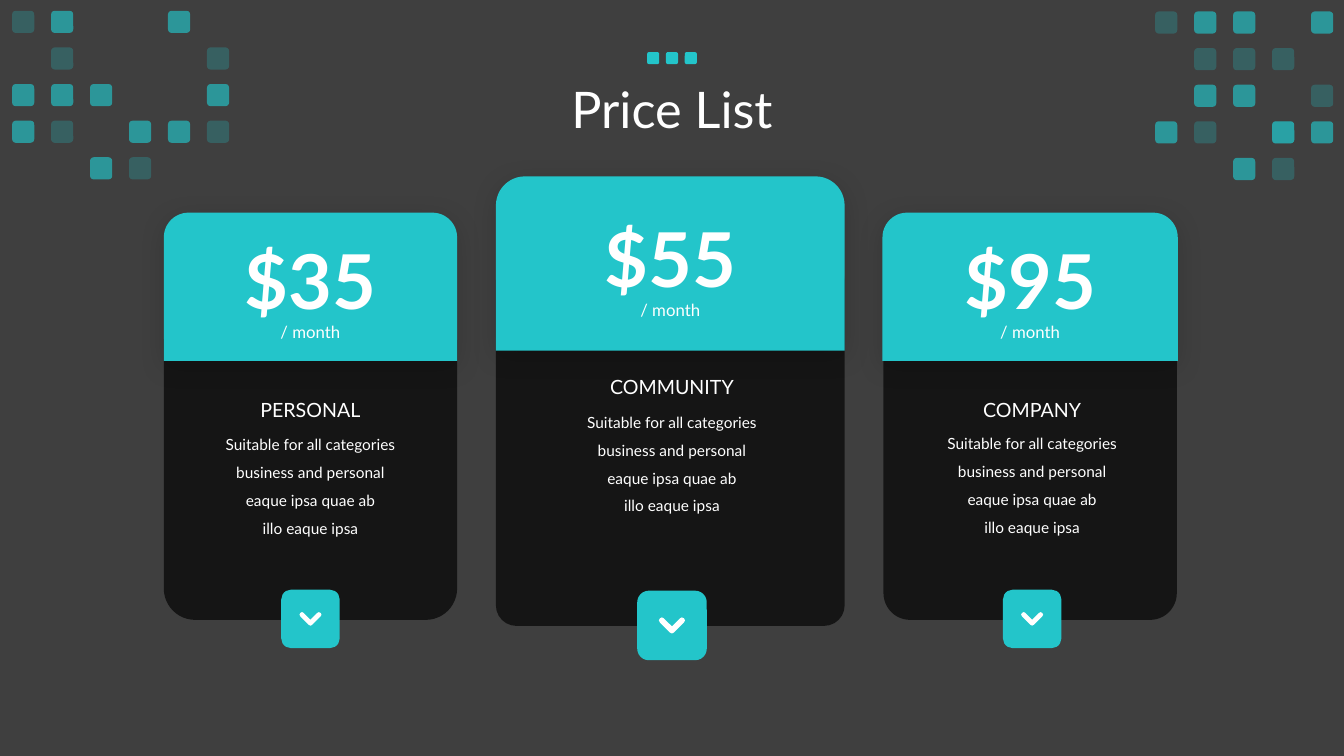
from dataclasses import dataclass

from lxml import etree
from pptx import Presentation
from pptx.dml.color import RGBColor
from pptx.enum.shapes import MSO_SHAPE
from pptx.enum.text import MSO_ANCHOR, MSO_AUTO_SIZE, PP_ALIGN
from pptx.oxml.ns import qn
from pptx.shapes.autoshape import Shape
from pptx.slide import Slide
from pptx.util import Inches, Pt

ROUND = MSO_SHAPE.ROUNDED_RECTANGLE
TOP_ROUND = MSO_SHAPE.ROUND_2_SAME_RECTANGLE
CENTER = PP_ALIGN.CENTER
MIDDLE = MSO_ANCHOR.MIDDLE
TOP = MSO_ANCHOR.TOP
GROW = MSO_AUTO_SIZE.SHAPE_TO_FIT_TEXT
FIXED = MSO_AUTO_SIZE.NONE

COLS, ROWS = 40, 22.5
CELL = Inches(1 / 3)
HEX = {"back": "3F3F3F", "teal": "23C5CA", "black": "000000", "white": "FFFFFF"}

TEXT = {
    "title": {"font": {"size": Pt(36)}, "para": {"line_spacing": 0.9},
              "frame": {"vertical_anchor": MIDDLE, "auto_size": FIXED}},
    "price": {"font": {"size": Pt(54), "bold": True}, "para": {}, "frame": {}},
    "term": {"font": {"size": Pt(12)}, "para": {"line_spacing": 1.5}, "frame": {}},
    "name": {"font": {"size": Pt(14)}, "para": {}, "frame": {}},
    "about": {"font": {"size": Pt(11)}, "para": {"line_spacing": 1.5}, "frame": {}},
}
BASE = {
    "font": {"name": "Lato"},
    "para": {"alignment": CENTER},
    "frame": {"word_wrap": True, "vertical_anchor": TOP, "auto_size": GROW},
}
ABOUT = [
    "Suitable for all categories business and personal",
    "eaque ipsa quae ab",
    "illo eaque ipsa",
]
ARROW = [(0, 8), (-2, 7), (-12, -3), (-13, -5), (-12, -7), (-10, -8), (-8, -7),
         (0, 1), (8, -7), (10, -8), (12, -7), (13, -5), (12, -3), (2, 7)]
SHADES = {".": (), "l": (25,), "H": (65,), "B": (65, 25)}


@dataclass
class Box:
    left: float
    top: float
    width: float
    height: float

    def emu(self) -> list[int]:
        return [round(n * CELL) for n in (self.left, self.top, self.width, self.height)]


@dataclass
class Card:
    price: str
    name: str
    mid: float
    low_mid: float
    body: tuple[float, float, float]
    curve: float
    head: tuple[float, float, float]
    price_top: float
    name_top: float
    about_top: float
    key_top: float
    key: float


@dataclass
class Tiles:
    left: float
    top: float
    rows: list[str]


CARDS = [
    Card("$35", "PERSONAL", 9.24, 9.24, (9.24, 8.73, 9.21), 0.107,
         (6.33, 8.73, 4.41), 6.81, 11.7, 12.54, 17.55, 1.74),
    Card("$55", "COMMUNITY", 19.95, 20, (7.74, 10.38, 10.89), 0.059,
         (5.25, 10.38, 5.19), 6.15, 11.01, 11.88, 17.58, 2.07),
    Card("$95", "COMPANY", 30.66, 30.72, (9.24, 8.73, 9.21), 0.091,
         (6.33, 8.79, 4.41), 6.81, 11.7, 12.51, 17.55, 1.74),
]
TILES = [
    Tiles(0.36, 0.32, ["lH..H.", ".l...l", "HHH..H", "Hl.HHl", "..Hl.."]),
    Tiles(34.38, 0.34, ["lHH.H", ".lll.", ".HH.l", "Hl.BH", "..Hl."]),
]


def center(mid: float, top: float, width: float, height: float) -> Box:
    return Box(mid - width / 2, top, width, height)


def paint(shape: Shape, color: str, alpha: int = 100) -> None:
    shape.shadow.inherit = False
    shape.fill.solid()
    shape.fill.fore_color.rgb = RGBColor.from_string(HEX[color])
    shape.line.fill.background()
    if alpha < 100:
        tint = next(shape._element.spPr.iter(qn("a:srgbClr")))
        etree.SubElement(tint, qn("a:alpha"), val=str(alpha * 1000))


def shade(shape: Shape) -> None:
    effect = shape._element.spPr.find(qn("a:effectLst"))
    outer = etree.SubElement(effect, qn("a:outerShdw"), blurRad=str(Pt(19)),
                             dist=str(Pt(4)), dir="5400000", algn="t", rotWithShape="0")
    tint = etree.SubElement(outer, qn("a:srgbClr"), val=HEX["black"])
    etree.SubElement(tint, qn("a:alpha"), val="15000")


def block(shapes, kind: int, box: Box, color: str, alpha: int = 100) -> Shape:
    shape = shapes.add_shape(kind, *box.emu())
    paint(shape, color, alpha)
    return shape


def apply(target, part: str, style: str) -> None:
    for key, value in {**BASE[part], **TEXT[style][part]}.items():
        setattr(target, key, value)


def write(slide: Slide, box: Box, style: str, lines: list[str]) -> None:
    frame = slide.shapes.add_textbox(*box.emu()).text_frame
    apply(frame, "frame", style)
    frame.text = "\n".join(lines)
    for para in frame.paragraphs:
        apply(para, "para", style)
        for run in para.runs:
            apply(run.font, "font", style)
            run.font.color.rgb = RGBColor.from_string(HEX["white"])


def draw_key(slide: Slide, card: Card) -> None:
    block(slide.shapes, ROUND, center(card.low_mid, card.key_top, card.key, card.key), "teal")
    pen = slide.shapes.build_freeform(*ARROW[0], scale=card.key * CELL / 69)
    pen.add_line_segments(ARROW[1:], close=True)
    mid_y = card.key_top + card.key / 2
    paint(pen.convert_to_shape(round(card.low_mid * CELL), round(mid_y * CELL)), "white")


def draw_card(slide: Slide, card: Card) -> None:
    top, width, height = card.body
    body = block(slide.shapes, ROUND, center(card.mid, top, width, height), "black", 65)
    body.adjustments[0] = card.curve
    top, width, height = card.head
    shade(block(slide.shapes, TOP_ROUND, center(card.mid, top, width, height), "teal"))
    write(slide, center(card.mid, card.price_top, 5.3, 3.03), "price", [card.price])
    write(slide, center(card.mid, card.price_top + 2.33, 3.3, 1.08), "term", ["/ month"])
    write(slide, center(card.low_mid, card.about_top, 6.33, 3.54), "about", ABOUT)
    write(slide, center(card.low_mid, card.name_top, 5.76, 1.02), "name", [card.name])
    draw_key(slide, card)


def draw_tiles(slide: Slide, tiles: Tiles) -> None:
    group = slide.shapes.add_group_shape()
    for row, marks in enumerate(tiles.rows):
        for col, mark in enumerate(marks):
            box = Box(tiles.left + 1.16 * col, tiles.top + 1.09 * row, 0.66, 0.66)
            for alpha in SHADES[mark]:
                block(group.shapes, ROUND, box, "teal", alpha)


def main() -> None:
    deck = Presentation()
    deck.slide_width, deck.slide_height = round(COLS * CELL), round(ROWS * CELL)
    slide = deck.slides.add_slide(deck.slide_layouts[6])
    slide.background.fill.solid()
    slide.background.fill.fore_color.rgb = RGBColor.from_string(HEX["back"])
    write(slide, Box(2.75, 1.17, 34.5, 4.35), "title", ["Price List"])
    for card in CARDS:
        draw_card(slide, card)
    for tiles in TILES:
        draw_tiles(slide, tiles)
    dots = slide.shapes.add_group_shape()
    for step in range(3):
        block(dots.shapes, ROUND, Box(19.26 + 0.56 * step, 1.55, 0.36, 0.36), "teal")
    deck.save("out.pptx")


if __name__ == "__main__":
    main()
